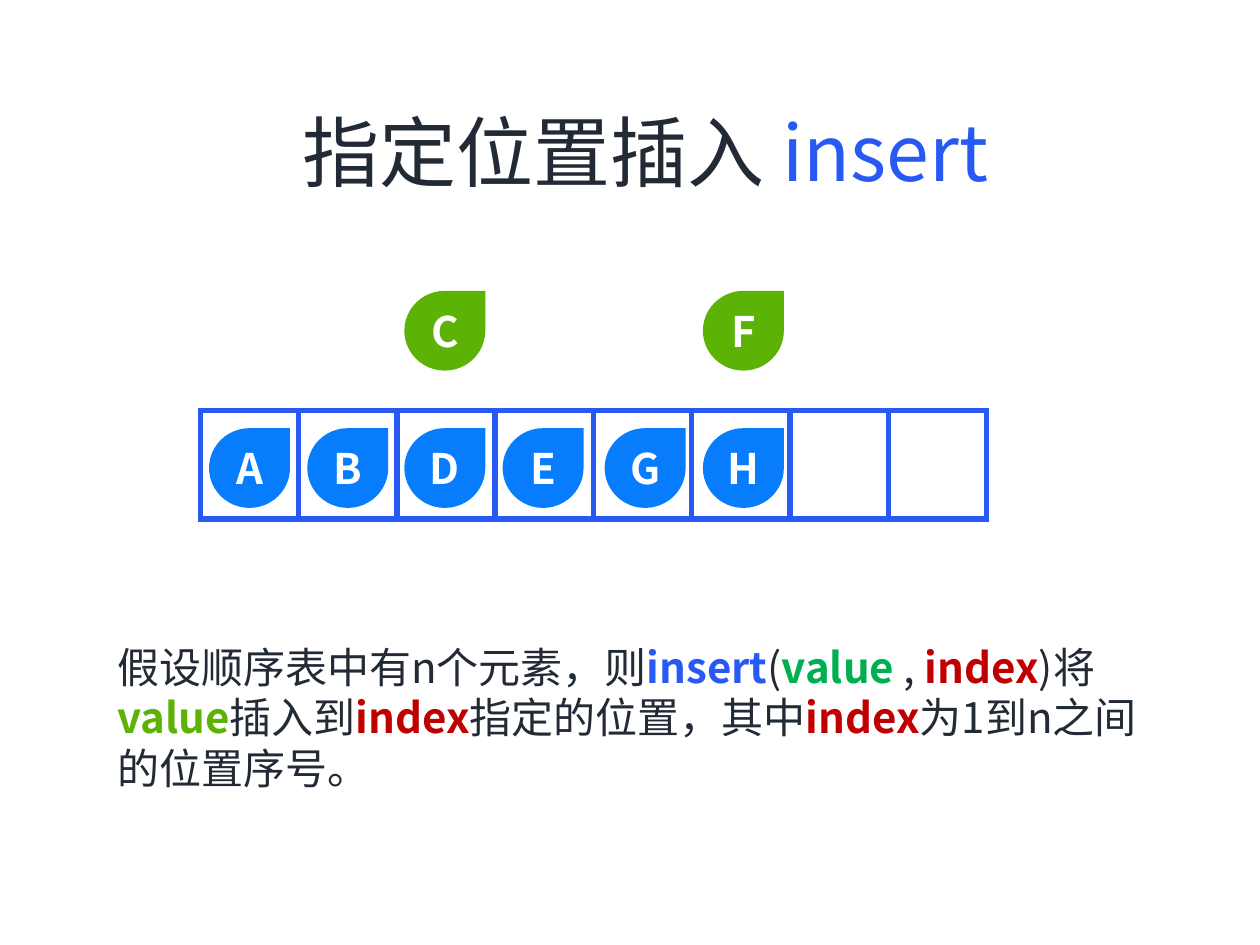
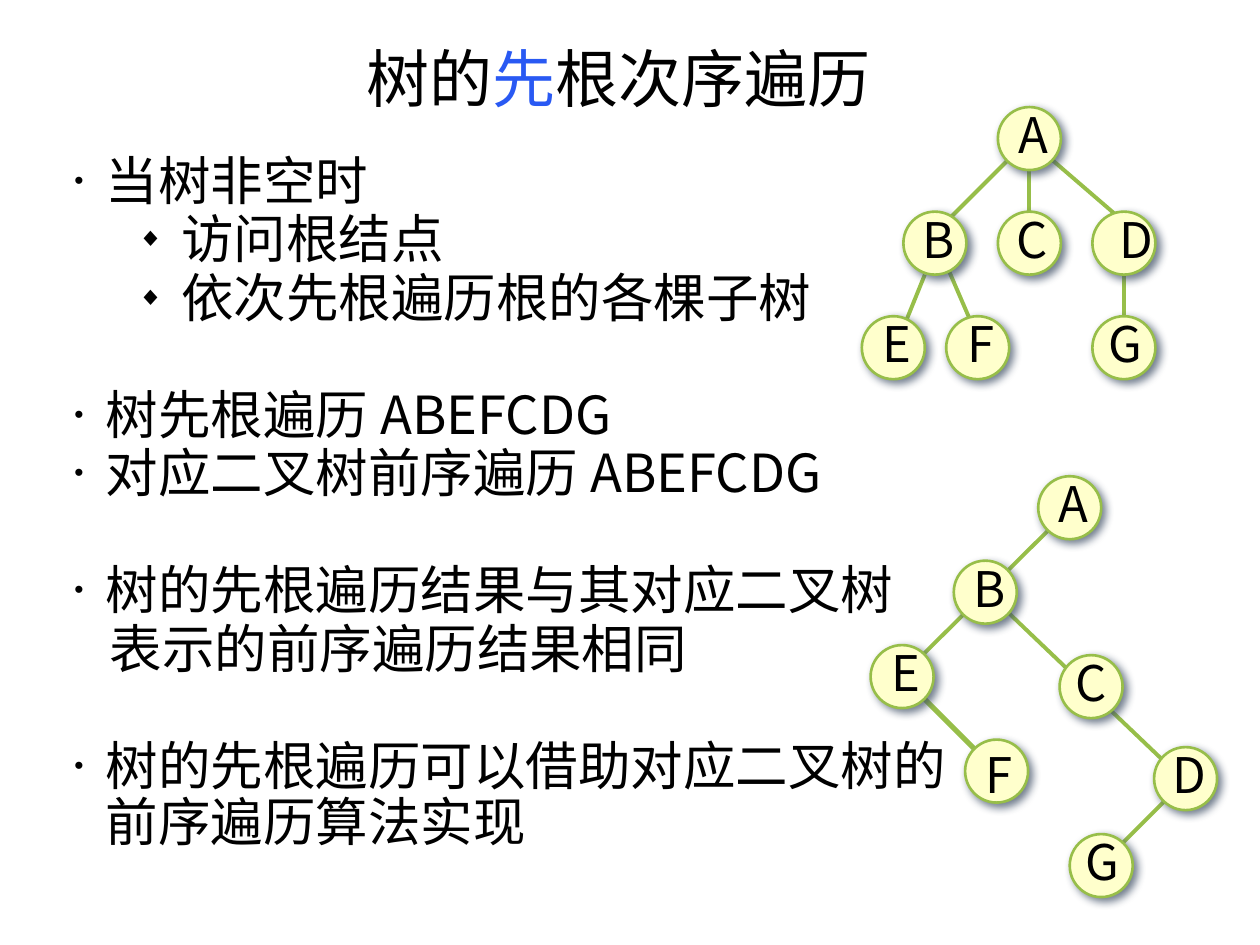
from dataclasses import dataclass
from typing import Optional

import lxml.etree
import pptx
import pptx.dml.color
import pptx.enum.shapes
import pptx.enum.text
import pptx.oxml.ns
import pptx.util
from pptx.dml.color import RGBColor
from pptx.util import Inches, Pt

FONT = "Noto Sans CJK JP"
INK = RGBColor(0x22, 0x2A, 0x35)
BLACK = RGBColor(0, 0, 0)
WHITE = RGBColor(0xFF, 0xFF, 0xFF)
ACCENT_BLUE = RGBColor(0x29, 0x59, 0xF3)
DROP_BLUE = RGBColor(0x07, 0x7C, 0xFD)
DROP_GREEN = RGBColor(0x5C, 0xB3, 0x05)
VALUE_GREEN = RGBColor(0x00, 0xB0, 0x50)
INDEX_RED = RGBColor(0xC0, 0, 0)
NODE_FILL = RGBColor(0xFF, 0xFF, 0xCC)
NODE_LINE = RGBColor(0x97, 0xBE, 0x49)
NODE_SHADOW = RGBColor(0x44, 0x54, 0x6A)

LIST_SPACING = 0.9
LIST_STEP = Pt(1)
LIST_GAP = Pt(34.5)
CELL_WIDTH = 0.78
CELL_LEFT = 1.59
DROP_LEFTS = (1.69, 2.47, 3.24, 4.02, 4.83, 5.61)
NODE_SIZE = 0.5
LABEL_HEIGHT = 0.57
LABEL_WIDTHS = {"A": 0.38, "B": 0.41, "C": 0.43, "D": 0.41, "E": 0.38, "F": 0.36, "G": 0.46}

ALIGN = pptx.enum.text.PP_ALIGN
ANCHOR = pptx.enum.text.MSO_ANCHOR
SHAPE = pptx.enum.shapes.MSO_SHAPE


@dataclass
class Span:
    text: str
    color: RGBColor = INK
    bold: bool = False


@dataclass
class Bullet:
    character: str
    margin: float
    hanging: float


@dataclass
class ListItem:
    text: str
    bullet: Optional[Bullet]
    level: int = 0
    gap_before: bool = False


@dataclass
class Box:
    left: float
    top: float
    width: float
    height: float

    def lengths(self) -> tuple:
        return tuple(Inches(value) for value in (self.left, self.top, self.width, self.height))


@dataclass
class Node:
    letter: str
    left: float
    top: float
    label_shift: tuple = (0.03, -0.07)


@dataclass
class Edge:
    start: tuple
    end: tuple
    width: float = 2.25


DOT = Bullet("•", 0.25, 0.25)
DIAMOND = Bullet("◆", 0.85, 0.35)
CONTINUED = Bullet("", 0.28, 0)

INSERT_TEXT = [
    Span("假设顺序表中有n个元素，则"), Span("insert", ACCENT_BLUE, True), Span("("),
    Span("value", VALUE_GREEN, True), Span(" , "), Span("index", INDEX_RED, True), Span(")将"),
    Span("value", DROP_GREEN, True), Span("插入到"), Span("index", INDEX_RED, True),
    Span("指定的位置，其中"), Span("index", INDEX_RED, True), Span("为1到n之间的位置序号。"),
]
TRAVERSAL_ITEMS = [
    ListItem("当树非空时", DOT),
    ListItem("访问根结点", DIAMOND, level=1),
    ListItem("依次先根遍历根的各棵子树", DIAMOND, level=1),
    ListItem("树先根遍历 ABEFCDG", DOT, gap_before=True),
    ListItem("对应二叉树前序遍历 ABEFCDG", DOT),
    ListItem("树的先根遍历结果与其对应二叉树", DOT, gap_before=True),
    ListItem("表示的前序遍历结果相同", CONTINUED),
    ListItem("树的先根遍历可以借助对应二叉树的前序遍历算法实现", DOT, gap_before=True),
]
TREE_NODES = [
    Node("A", 7.92, 0.85), Node("B", 7.17, 1.68), Node("C", 7.92, 1.68, (0.02, -0.07)),
    Node("D", 8.67, 1.68, (0.1, -0.07)), Node("E", 6.84, 2.51), Node("F", 7.51, 2.51),
    Node("G", 8.67, 2.51, (0.01, -0.07)),
]
TREE_EDGES = [
    Edge((8.92, 2.1), (8.92, 2.6)), Edge((7.51, 2.1), (7.76, 2.68)),
    Edge((7.34, 2.18), (7.17, 2.6)), Edge((8.34, 1.26), (8.92, 1.76)),
    Edge((8.17, 1.35), (8.17, 1.76)), Edge((8.01, 1.26), (7.51, 1.76)),
]
BINARY_NODES = [
    Node("A", 8.24, 3.78), Node("B", 7.57, 4.45), Node("C", 8.41, 5.2, (0, -0.07)),
    Node("D", 9.16, 5.93), Node("E", 6.91, 5.12), Node("F", 7.66, 5.87, (0.02, -0.01)),
    Node("G", 8.49, 6.62, (0.01, -0.07)),
]
BINARY_EDGES = [
    Edge((7.24, 5.45), (7.74, 5.95), 3), Edge((9.32, 6.28), (8.82, 6.78)),
    Edge((8.41, 4.12), (7.24, 5.28)), Edge((7.99, 4.85), (9.32, 6.12)),
]


def add_element(parent, tag: str, **attributes: str):
    return lxml.etree.SubElement(parent, pptx.oxml.ns.qn(tag), attributes)


def format_run(run, size: float, color: RGBColor, bold: bool = False) -> None:
    run.font.size = Pt(size)
    run.font.bold = bold
    run.font.color.rgb = color
    run.font.name = FONT
    add_element(run.font._element, "a:ea", typeface=FONT)


def write_spans(paragraph, spans: list, size: float) -> None:
    for span in spans:
        run = paragraph.add_run()
        run.text = span.text
        format_run(run, size, span.color, span.bold)


def set_bullet(paragraph, bullet: Optional[Bullet]) -> None:
    properties = paragraph._p.get_or_add_pPr()
    properties.set("marL", str(Inches(bullet.margin if bullet else 0)))
    properties.set("indent", str(-Inches(bullet.hanging if bullet else 0)))
    if bullet and bullet.character:
        add_element(properties, "a:buSzPct", val="50000")
        add_element(properties, "a:buChar", char=bullet.character)
    else:
        add_element(properties, "a:buNone")


def place_placeholder(shape, box: Box):
    shape.left, shape.top, shape.width, shape.height = box.lengths()
    text_frame = shape.text_frame
    text_frame.word_wrap = True
    text_frame.auto_size = pptx.enum.text.MSO_AUTO_SIZE.NONE
    text_frame.vertical_anchor = ANCHOR.TOP
    return text_frame


def set_title(slide, box: Box, spans: list, size: float, spacing: float) -> None:
    paragraph = place_placeholder(slide.shapes.title, box).paragraphs[0]
    paragraph.alignment = ALIGN.CENTER
    paragraph.line_spacing = spacing
    write_spans(paragraph, spans, size)


def write_letter(shape, letter: str, size: float, color: RGBColor, bold: bool = False) -> None:
    text_frame = shape.text_frame
    text_frame.text = letter
    text_frame.vertical_anchor = ANCHOR.MIDDLE
    text_frame.margin_left = text_frame.margin_right = 0
    paragraph = text_frame.paragraphs[0]
    paragraph.alignment = ALIGN.CENTER
    format_run(paragraph.runs[0], size, color, bold)


def add_outlined(shapes, kind, box: Box, fill: Optional[RGBColor], line: RGBColor, width: float):
    shape = shapes.add_shape(kind, *box.lengths())
    shape.shadow.inherit = False
    if fill is None:
        shape.fill.background()
    else:
        shape.fill.solid()
        shape.fill.fore_color.rgb = fill
    shape.line.color.rgb = line
    shape.line.width = Pt(width)
    outline = shape._element.spPr.find(pptx.oxml.ns.qn("a:ln"))
    add_element(outline, "a:miter", lim="800000")
    return shape


def add_drop(slide, letter: str, slot: int, top: float, color: RGBColor) -> None:
    box = Box(DROP_LEFTS[slot], top, 0.58, 0.57)
    write_letter(add_outlined(slide.shapes, SHAPE.TEAR, box, color, color, 4.5), letter, 24, WHITE, True)


def add_edge(shapes, edge: Edge) -> None:
    ends = [Inches(value) for value in edge.start + edge.end]
    connector = shapes.add_connector(pptx.enum.shapes.MSO_CONNECTOR.STRAIGHT, *ends)
    connector.line.color.rgb = NODE_LINE
    connector.line.width = Pt(edge.width)
    add_element(connector._element.spPr, "a:effectLst")


def add_node(shapes, node: Node) -> None:
    box = Box(node.left, node.top, NODE_SIZE, NODE_SIZE)
    circle = add_outlined(shapes, SHAPE.OVAL, box, NODE_FILL, NODE_LINE, 1.5)
    effects = circle._element.spPr.find(pptx.oxml.ns.qn("a:effectLst"))
    shadow = add_element(effects, "a:outerShdw", blurRad=str(Pt(5)), dist=str(Pt(3)),
                         dir="2700000", algn="ctr", rotWithShape="0")
    add_element(add_element(shadow, "a:srgbClr", val=str(NODE_SHADOW)), "a:alpha", val="75000")

    width = LABEL_WIDTHS[node.letter]
    shift_x, shift_y = node.label_shift
    label_box = Box(node.left + (NODE_SIZE - width) / 2 + shift_x, node.top + shift_y, width, LABEL_HEIGHT)
    label = shapes.add_textbox(*label_box.lengths())
    label.text_frame.word_wrap = False
    write_letter(label, node.letter, 28, BLACK)


def add_tree(slide, nodes: list, edges: list) -> None:
    group = slide.shapes.add_group_shape()
    for edge in edges:
        add_edge(group.shapes, edge)
    for node in nodes:
        add_node(group.shapes, node)


def build_insert_slide(slide) -> None:
    set_title(slide, Box(1.03, 0.78, 8.19, 0.84),
              [Span("指定位置插入 "), Span("insert", ACCENT_BLUE)], 44, 1.0)
    for slot, letter in enumerate("ABDEGH"):
        add_drop(slide, letter, slot, 3.43, DROP_BLUE)
    for slot, letter in ((2, "C"), (5, "F")):
        add_drop(slide, letter, slot, 2.34, DROP_GREEN)
    for slot in range(8):
        cell = Box(CELL_LEFT + slot * CELL_WIDTH, 3.26, CELL_WIDTH, 0.86)
        add_outlined(slide.shapes, SHAPE.RECTANGLE, cell, None, ACCENT_BLUE, 3)

    text_frame = place_placeholder(slide.placeholders[1], Box(0.83, 5.04, 8.4, 1.32))
    paragraph = text_frame.paragraphs[0]
    set_bullet(paragraph, None)
    paragraph.line_spacing = 1.0
    paragraph.space_before = Pt(0)
    write_spans(paragraph, INSERT_TEXT, 24)


def build_traversal_slide(slide) -> None:
    set_title(slide, Box(0.41, 0.33, 9, 0.7),
              [Span("树的", BLACK), Span("先", ACCENT_BLUE), Span("根次序遍历", BLACK)],
              36, LIST_SPACING)
    text_frame = place_placeholder(slide.placeholders[1], Box(0.49, 1.18, 7.21, 5.9))
    text_frame.text = "\n".join(item.text for item in TRAVERSAL_ITEMS)
    for paragraph, item in zip(text_frame.paragraphs, TRAVERSAL_ITEMS):
        set_bullet(paragraph, item.bullet)
        paragraph.level = item.level
        paragraph.line_spacing = LIST_SPACING
        paragraph.space_before = LIST_GAP if item.gap_before else LIST_STEP
        format_run(paragraph.runs[0], 30, BLACK)
    text_frame.paragraphs[0].space_before = Pt(0)
    add_tree(slide, TREE_NODES, TREE_EDGES)
    add_tree(slide, BINARY_NODES, BINARY_EDGES)


def main() -> None:
    presentation = pptx.Presentation()
    presentation.slide_width = Inches(10)
    presentation.slide_height = Inches(7.5)
    layout = presentation.slide_layouts[1]
    for build in (build_insert_slide, build_traversal_slide):
        build(presentation.slides.add_slide(layout))
    presentation.save("out.pptx")


if __name__ == "__main__":
    main()
